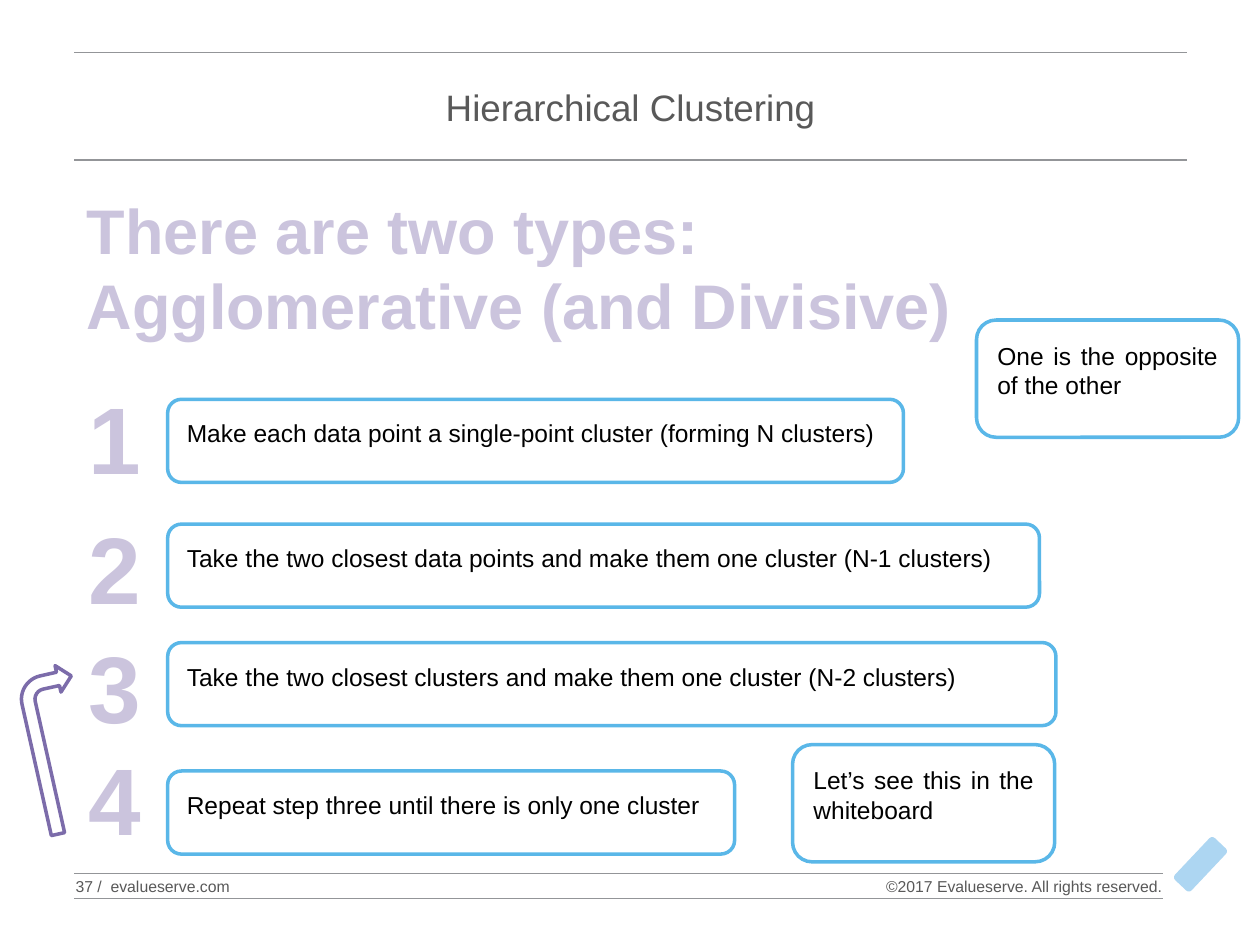
from dataclasses import dataclass

from lxml import etree
from pptx import Presentation
from pptx.dml.color import RGBColor
from pptx.enum.shapes import MSO_CONNECTOR, MSO_SHAPE
from pptx.enum.text import MSO_ANCHOR, PP_ALIGN
from pptx.oxml.ns import qn
from pptx.util import Pt

STRAIGHT = MSO_CONNECTOR.STRAIGHT
ROUNDED = MSO_SHAPE.ROUNDED_RECTANGLE
BENT_ARROW = MSO_SHAPE.BENT_ARROW
TOP, MIDDLE = MSO_ANCHOR.TOP, MSO_ANCHOR.MIDDLE
LEFT, CENTER, RIGHT, JUSTIFY = PP_ALIGN.LEFT, PP_ALIGN.CENTER, PP_ALIGN.RIGHT, PP_ALIGN.JUSTIFY


@dataclass(frozen=True)
class Theme:
    """Colours, font and type sizes of the slide."""
    font: str = "Arial"
    white: str = "FFFFFF"
    black: str = "000000"
    grey: str = "595959"
    rule: str = "939598"
    blue: str = "5AB7E8"
    pale_blue: str = "ADD6F2"
    lilac: str = "CBC4DD"
    purple: str = "7C6CAA"
    title: float = 21
    heading: float = 36
    number: float = 54
    body: float = 14
    footer: float = 9


THEME = Theme()
MARGIN = 42.5


def rgb(value):
    """Turn a hex string into a colour."""
    return RGBColor.from_string(value)


def write(frame, lines, size, color, align=LEFT, anchor=TOP, insets=(0, 0), wrap=True, outlined=False):
    """Fill a text frame with one paragraph for each line."""
    frame.word_wrap = wrap
    frame.vertical_anchor = anchor
    frame.margin_left = frame.margin_right = Pt(insets[0])
    frame.margin_top = frame.margin_bottom = Pt(insets[1])
    for index, line in enumerate(lines):
        para = frame.add_paragraph() if index else frame.paragraphs[0]
        para.alignment = align
        span = para.add_run()
        span.text = line
        span.font.name = THEME.font
        span.font.size = Pt(size)
        span.font.bold = outlined
        span.font.color.rgb = rgb(color)
        if outlined:
            outline_text(span)


def outline_text(span):
    """Draw a purple outline around the letters of a run."""
    line = etree.Element(qn("a:ln"), w=str(Pt(1.75)))
    fill = etree.SubElement(line, qn("a:solidFill"))
    etree.SubElement(fill, qn("a:srgbClr"), val=THEME.purple)
    span.font._element.insert(0, line)


def add_text(page, box, lines, size, color, **options):
    """Place a text box in the given box."""
    label = page.shapes.add_textbox(*map(Pt, box))
    write(label.text_frame, lines, size, color, **options)


def add_outline(page, kind, box, fill, line=None, rotation=0):
    """Place a flat shape with an optional border."""
    shape = page.shapes.add_shape(kind, *map(Pt, box))
    shape.shadow.inherit = False
    shape.rotation = rotation
    shape.fill.solid()
    shape.fill.fore_color.rgb = rgb(fill)
    if line:
        shape.line.color.rgb = rgb(line)
        shape.line.width = Pt(2)
    else:
        shape.line.fill.background()
    return shape


def add_card(page, box, text):
    """Place a white card with a blue border and justified text."""
    card = add_outline(page, ROUNDED, box, THEME.white, THEME.blue)
    write(card.text_frame, [text], THEME.body, THEME.black, align=JUSTIFY, insets=(8.64, 8.64))


def add_rule(page, left, top, width):
    """Draw a thin grey horizontal rule."""
    rule = page.shapes.add_connector(STRAIGHT, Pt(left), Pt(top), Pt(left + width), Pt(top))
    rule.line.color.rgb = rgb(THEME.rule)
    rule.line.width = Pt(0.75)
    etree.SubElement(rule._element.spPr, qn("a:effectLst"))


def add_header(page, box):
    """Place the title between two rules at the edges of the box."""
    left, top, width, height = box
    for offset in (0, height):
        add_rule(page, left, top + offset, width)
    add_text(page, (left, top + 15.1, width, 56), ["Hierarchical Clustering"],
             THEME.title, THEME.grey, align=CENTER, insets=(0, 2.88))


def add_footer(page, box):
    """Place the page line and the copyright line between two rules, with a corner mark."""
    left, top, width, height = box
    for offset in (0, height):
        add_rule(page, left, top + offset, width)
    add_text(page, (left + 0.7, top, 106, height), ["37 /  evalueserve.com"],
             THEME.footer, THEME.grey, anchor=MIDDLE)
    add_text(page, (left + width - 229, top + 0.7, 228.5, 13),
             ["©2017 Evalueserve. All rights reserved."],
             THEME.footer, THEME.grey, align=RIGHT, anchor=MIDDLE)
    add_outline(page, ROUNDED, (left + width + 15, top - 21.6, 13, 33), THEME.pale_blue, rotation=43.3)


def add_step(page, box, number, number_top, text):
    """Place a step card with its large number on the left."""
    add_card(page, box, text)
    add_text(page, (MARGIN + 0.5, number_top, 44.6, 72.7), [str(number)], THEME.number,
             THEME.lilac, align=CENTER, insets=(7.2, 3.6), wrap=False, outlined=True)


def add_steps(page, box):
    """Place the four numbered steps and the arrow from the last back to the third."""
    left, top, height = box
    steps = [
        (0, -14.4, 420.5, "Make each data point a single-point cluster (forming N clusters)"),
        (71.3, -11.5, 498.2, "Take the two closest data points and make them one cluster (N-1 clusters)"),
        (139, -11.5, 507.6, "Take the two closest clusters and make them one cluster (N-2 clusters)"),
        (212.4, -20.9, 324, "Repeat step three until there is only one cluster"),
    ]
    for number, (offset, lift, width, text) in enumerate(steps, 1):
        card_top = top + offset
        add_step(page, (left, card_top, width, height), number, card_top + lift, text)
    add_outline(page, BENT_ARROW, (left - 77.1, top + 152.7, 31, 94.3),
                THEME.white, THEME.purple, rotation=347.4)


def main():
    """Build the slide and save it."""
    deck = Presentation()
    deck.slide_width, deck.slide_height = Pt(720), Pt(540)
    page = deck.slides.add_slide(deck.slide_layouts[6])
    add_header(page, (MARGIN, 30.2, 635.7, 61.2))
    add_footer(page, (MARGIN, 499, 622, 14.4))
    add_steps(page, (95.8, 228.2, 47.5))
    add_text(page, (MARGIN, 105.8, 624.2, 94.3),
             ["There are two types:", "Agglomerative (and Divisive)"],
             THEME.heading, THEME.lilac, insets=(7.2, 3.6), outlined=True)
    add_card(page, (558, 182.9, 149.8, 67), "One is the opposite of the other")
    add_card(page, (452.9, 425.5, 149.8, 67), "Let’s see this in the whiteboard")
    deck.save("out.pptx")


if __name__ == "__main__":
    main()
